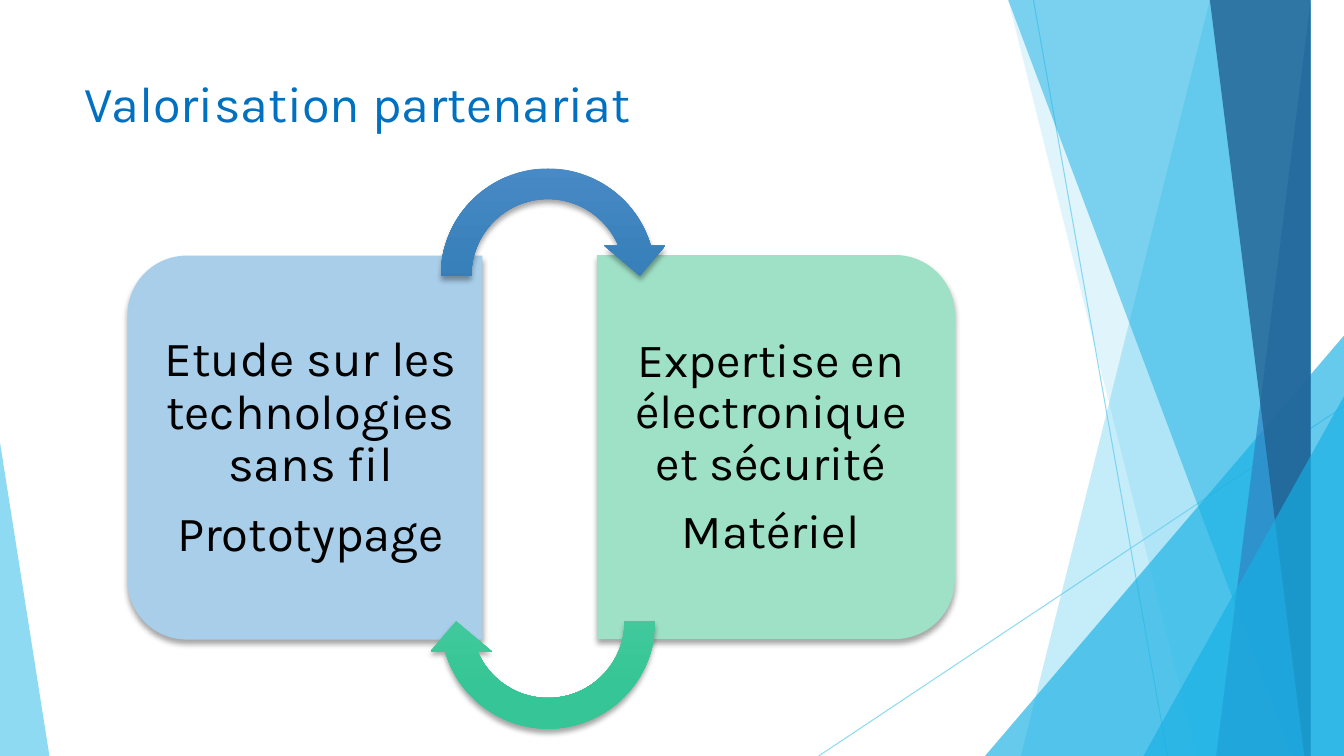
from lxml.etree import SubElement
from pptx import Presentation
from pptx.dml.color import RGBColor
from pptx.enum.shapes import MSO_CONNECTOR, MSO_SHAPE
from pptx.enum.text import MSO_ANCHOR, PP_ALIGN
from pptx.oxml.ns import qn
from pptx.util import Inches, Pt

COLORS = {
    "sky": "5FCBEF", "cyan": "17B0E4", "blue": "2E83C3", "navy": "226292",
    "title": "0070C0", "text": "000000", "study": "A8CEEA", "expertise": "9FE1C6",
    "blue_light": "4A8BC6", "blue_dark": "2A78B2",
    "green_light": "56D2A7", "green_dark": "36C596",
}
FONT = "Karla"


def set_alpha(color_format, name, percent):
    """Set a solid fill or line fill to a named colour with the given opacity."""
    color_format.solid()
    color_format.fore_color.rgb = RGBColor.from_string(COLORS[name])
    color = color_format._xPr.find(qn("a:solidFill"))[0]
    SubElement(color, qn("a:alpha"), val=str(percent * 1000))


def add_soft_shadow(shape):
    """Put a soft shadow straight below the shape and remove its outline."""
    shape.line.fill.background()
    shape.shadow.inherit = False
    effects = shape._element.spPr.find(qn("a:effectLst"))
    shadow = SubElement(effects, qn("a:outerShdw"), blurRad=str(Pt(4)),
                        dist=str(Pt(3)), dir="5400000", rotWithShape="0")
    color = SubElement(shadow, qn("a:srgbClr"), val=COLORS["text"])
    SubElement(color, qn("a:alpha"), val="35000")


presentation = Presentation()
presentation.slide_width = Inches(13.33)
presentation.slide_height = Inches(7.5)
slide = presentation.slides.add_slide(presentation.slide_layouts[5])
shapes = slide.shapes

# Decorative facets along the edges
for start_x, start_y, end_x in [(10.25, 0, 11.58), (13.33, 4.03, 8.12)]:
    line = shapes.add_connector(MSO_CONNECTOR.STRAIGHT, Inches(start_x), Inches(start_y),
                                Inches(end_x), Inches(7.5))
    line.line.width = Pt(0.75)
    set_alpha(line.line.fill, "sky", 70)
    SubElement(line._element.spPr, qn("a:effectLst"))

# Bands give top and bottom x; triangles give left, top, width, height, apex
facets = [
    ("band", (12.28, 10.04), "sky", 36),
    ("band", (10.5, 11.83), "sky", 20),
    ("triangle", (9.77, 3.33, 3.56, 4.17, 1), "cyan", 66),
    ("band", (10.21, 12.91), "cyan", 50),
    ("band", (13.03, 11.92), "blue", 70),
    ("band", (11.96, 13.18), "navy", 80),
    ("triangle", (11.34, 3.93, 1.99, 3.57, 1), "cyan", 66),
    ("triangle", (0, 4.39, 0.49, 3.11, 0), "sky", 70),
]
for kind, geometry, color, opacity in facets:
    if kind == "band":
        top_x, bottom_x = geometry
        builder = shapes.build_freeform(top_x, -0.01, scale=Inches(1))
        builder.add_line_segments([(13.33, -0.01), (13.33, 7.5), (bottom_x, 7.5)])
        facet = builder.convert_to_shape()
    else:
        facet = shapes.add_shape(MSO_SHAPE.ISOSCELES_TRIANGLE,
                                 *[Inches(value) for value in geometry[:4]])
        facet.adjustments[0] = geometry[4]
    set_alpha(facet.fill, color, opacity)
    facet.line.fill.background()
    facet.shadow.inherit = False

# Title
title = shapes.title
title.left, title.top = Inches(0.74), Inches(0.67)
title.width, title.height = Inches(9.4), Inches(1.44)
title.text_frame.text = "Valorisation partenariat"
title.text_frame.vertical_anchor = MSO_ANCHOR.TOP
paragraph = title.text_frame.paragraphs[0]
paragraph.alignment = PP_ALIGN.LEFT
paragraph.font.name = FONT
paragraph.font.size = Pt(36)
paragraph.font.color.rgb = RGBColor.from_string(COLORS["title"])

# Partner panels: panel box, rotation, fill, text box, side insets, size, lines
panels = [
    ((1.12, 2.68, 3.81, 3.52), 270, "study", (1.44, 2.71, 3.35, 3.47), (0.15, 0.22), 35,
     ["Etude sur les technologies sans fil", "Prototypage"]),
    ((5.79, 2.66, 3.81, 3.55), 90, "expertise", (5.92, 2.71, 3.38, 3.46), (0.21, 0.14), 34,
     ["Expertise en électronique et sécurité", "Matériel"]),
]
for panel_box, rotation, color, text_box, insets, size, lines in panels:
    panel = shapes.add_shape(MSO_SHAPE.ROUND_2_SAME_RECTANGLE,
                             *[Inches(value) for value in panel_box])
    panel.rotation = rotation
    panel.adjustments[0] = 0.167
    panel.fill.solid()
    panel.fill.fore_color.rgb = RGBColor.from_string(COLORS[color])
    add_soft_shadow(panel)

    frame = shapes.add_textbox(*[Inches(value) for value in text_box]).text_frame
    frame.word_wrap = True
    frame.vertical_anchor = MSO_ANCHOR.MIDDLE
    frame.margin_left, frame.margin_right = [Inches(inset) for inset in insets]
    frame.margin_top = frame.margin_bottom = Inches(0.24)
    frame.text = "\n".join(lines)
    for paragraph in frame.paragraphs:
        paragraph.alignment = PP_ALIGN.CENTER
        paragraph.line_spacing = 0.9
        paragraph.space_after = Pt(12)
        paragraph.font.name = FONT
        paragraph.font.size = Pt(size)
        paragraph.font.color.rgb = RGBColor.from_string(COLORS["text"])

# Exchange arrows
for top, rotation, color in [(1.52, 0, "blue"), (4.95, 180, "green")]:
    arrow = shapes.add_shape(MSO_SHAPE.CIRCULAR_ARROW, Inches(4.22), Inches(top),
                             Inches(2.43), Inches(2.43))
    arrow.rotation = rotation
    for index, value in enumerate([0.125, 11.423, 204.577, 108, 0.125]):
        arrow.adjustments[index] = value
    arrow.fill.gradient()
    arrow.fill.gradient_angle = 270
    arrow._element.spPr.find(qn("a:gradFill")).set("rotWithShape", "0")
    stops = zip(arrow.fill.gradient_stops, [0, 0.78], ["light", "dark"])
    for stop, position, shade in stops:
        stop.position = position
        stop.color.rgb = RGBColor.from_string(COLORS[f"{color}_{shade}"])
    add_soft_shadow(arrow)

presentation.save("out.pptx")
